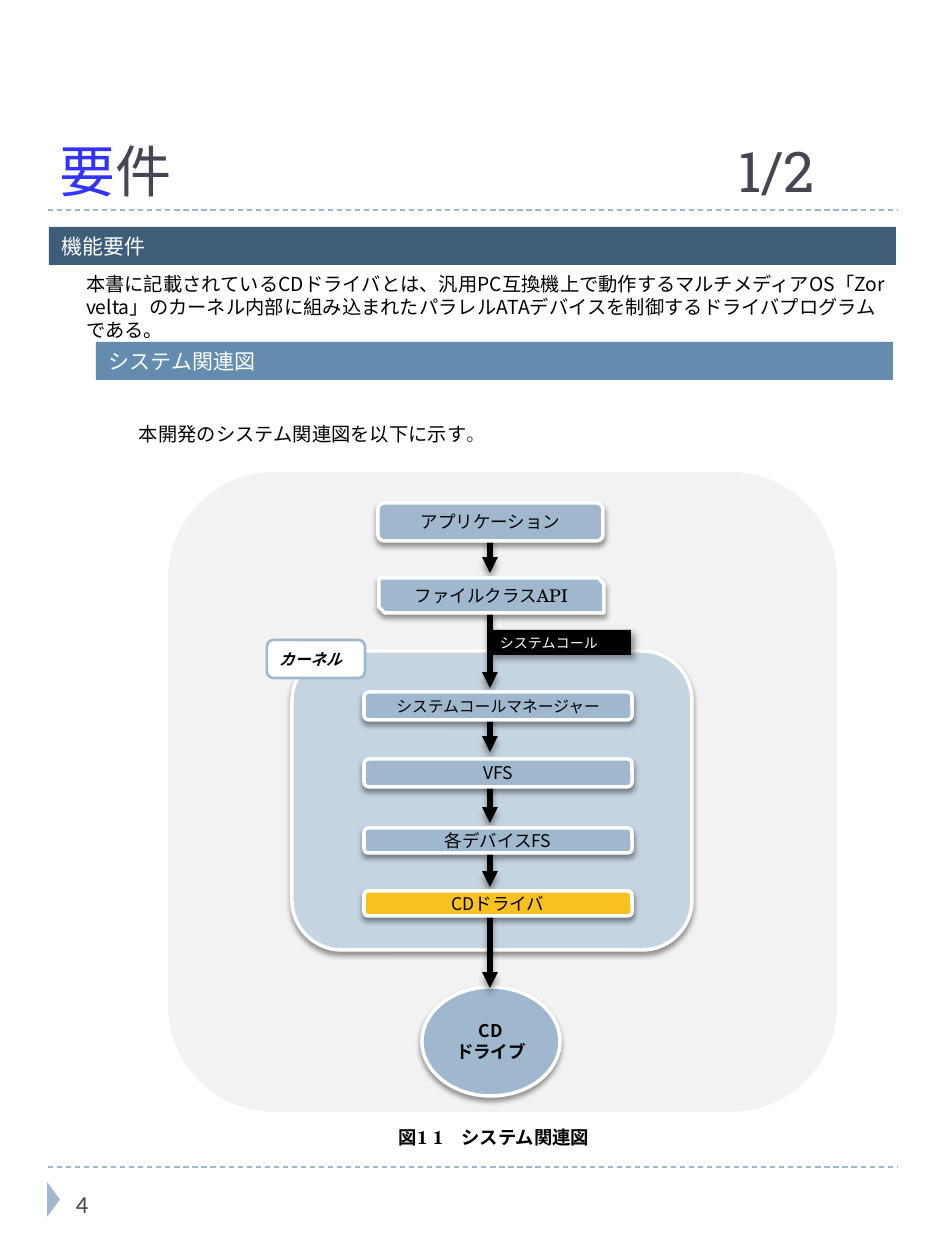
"""Build the requirements slide with its system relation diagram."""
import pptx
import pptx.dml.color
import pptx.enum.dml
import pptx.enum.shapes
import pptx.enum.text
import pptx.oxml
import pptx.oxml.ns
import pptx.util
from lxml import etree

SCALE = 914400 / 126
SANS, SLAB, SERIF = "Noto Sans CJK JP", "Roboto Slab", "TeX Gyre Schola"
BLACK, WHITE, GREY, STEEL, AMBER = "000000", "FFFFFF", "464653", "9FB8CD", "F7C120"
SHAPE = pptx.enum.shapes.MSO_SHAPE
ANCHOR = pptx.enum.text.MSO_ANCHOR
ALIGN = pptx.enum.text.PP_ALIGN
BOX_SHADOW, LINE_SHADOW, LABEL_SHADOW = (3, 2, 90), (4, 3.4, 90), (4, 3, 45)

TITLE = [("要", SLAB, 32, "3333FF"), ("件\t1/2", SLAB, 32, GREY)]
OVERVIEW = [("本書に記載されているCDドライバとは、汎用PC互換機上で動作するマルチメディアOS"
             "「Zor velta」のカーネル内部に組み込まれたパラレルATAデバイスを制御する"
             "ドライバプログラムである。", SANS, 11, BLACK)]
LEAD = [("本開発のシステム関連図を以下に示す", SANS, 11, BLACK), ("。", SANS, 11, GREY)]
CAPTION = [("図1 1　システム関連図", SERIF, 10.5, BLACK)]
PAGE_NUMBER = [("4", "Calibri", 14, GREY)]
RULES = [1167, 210]
HEADINGS = [("機能要件", (49, 227, 847, 38), "3E5D78"),
            ("システム関連図", (96, 342, 797, 38), "638CAE")]
ARROWS = [(535, 573), (609, 688), (713, 752), (779, 823), (851, 887), (896, 988)]
ARROW_X = 490
LAYERS = [
    (SHAPE.ROUNDED_RECTANGLE, (378, 503, 225, 38), STEEL, [("アプリケーション", SANS, 10, BLACK)]),
    (SHAPE.SNIP_2_DIAG_RECTANGLE, (379, 578, 225, 35), STEEL,
     [("ファイルクラス", SANS, 10, BLACK), ("API", SERIF, 10, BLACK)]),
    (SHAPE.ROUNDED_RECTANGLE, (364, 692, 268, 28), STEEL,
     [("システムコールマネージャー", SANS, 9, BLACK)]),
    (SHAPE.ROUNDED_RECTANGLE, (364, 759, 268, 28), STEEL, [("VFS", SANS, 10, BLACK)]),
    (SHAPE.ROUNDED_RECTANGLE, (364, 828, 268, 25), STEEL, [("各デバイスFS", SANS, 10, BLACK)]),
    (SHAPE.ROUNDED_RECTANGLE, (364, 891, 268, 25), AMBER, [("CDドライバ", SANS, 10, BLACK)]),
]


def px(length):
    return pptx.util.Emu(round(length * SCALE))


def color(value):
    return pptx.dml.color.RGBColor.from_string(value)


def set_shadow(shape, shadow=None):
    effects = etree.SubElement(shape._element.spPr, pptx.oxml.ns.qn("a:effectLst"))
    if shadow:
        blur, distance, angle = shadow
        outer = etree.SubElement(effects, pptx.oxml.ns.qn("a:outerShdw"),
                                 blurRad=str(pptx.util.Pt(blur)), dist=str(pptx.util.Pt(distance)),
                                 dir=str(angle * 60000), rotWithShape="0")
        black = etree.SubElement(outer, pptx.oxml.ns.qn("a:srgbClr"), val=BLACK)
        etree.SubElement(black, pptx.oxml.ns.qn("a:alpha"), val="40000")


def write(paragraph, runs, align=ALIGN.LEFT, bold=False, italic=False, indent=(0, 0)):
    paragraph.alignment = align
    properties = paragraph._p.get_or_add_pPr()
    properties.set("marL", str(px(indent[0])))
    properties.set("indent", str(px(indent[1])))
    for text, name, size, shade in runs:
        run = paragraph.add_run()
        run.text = text
        run.font.name = name
        run.font.size = pptx.util.Pt(size)
        run.font.bold = bold
        run.font.italic = italic
        run.font.color.rgb = color(shade)
        east_asian = etree.SubElement(run._r.get_or_add_rPr(), pptx.oxml.ns.qn("a:ea"))
        east_asian.set("typeface", SANS)


def set_frame(frame, anchor=ANCHOR.MIDDLE, side=10, edge=1):
    frame.word_wrap = True
    frame.auto_size = pptx.enum.text.MSO_AUTO_SIZE.NONE
    frame.vertical_anchor = anchor
    frame.margin_left = frame.margin_right = px(side)
    frame.margin_top = frame.margin_bottom = px(edge)


def add_shape(shapes, kind, box, fill, line=None, width=2, shadow=None):
    shape = shapes.add_shape(kind, *map(px, box))
    shape.fill.solid()
    shape.fill.fore_color.rgb = color(fill)
    if line:
        shape.line.color.rgb = color(line)
        shape.line.width = pptx.util.Pt(width)
    else:
        shape.line.fill.background()
    set_shadow(shape, shadow)
    set_frame(shape.text_frame)
    return shape


def add_line(shapes, start, end, shade, width, shadow=None):
    line = shapes.add_connector(pptx.enum.shapes.MSO_CONNECTOR.STRAIGHT, *map(px, start + end))
    line.line.color.rgb = color(shade)
    line.line.width = pptx.util.Pt(width)
    set_shadow(line, shadow)
    return line


def add_diagram(slide):
    shapes = slide.shapes.add_group_shape().shapes
    add_shape(shapes, SHAPE.ROUNDED_RECTANGLE, (168, 472, 669, 640), "F2F2F2")
    add_shape(shapes, SHAPE.ROUNDED_RECTANGLE, (292, 651, 400, 299), "C5D4E1", WHITE,
              shadow=BOX_SHADOW)
    kernel = add_shape(shapes, SHAPE.ROUNDED_RECTANGLE, (267, 640, 98, 38), WHITE, STEEL, 1.5)
    write(kernel.text_frame.paragraphs[0], [("カーネル", SANS, 9, BLACK)], bold=True, italic=True)
    drive = add_shape(shapes, SHAPE.OVAL, (422, 987, 138, 109), STEEL, WHITE, shadow=BOX_SHADOW)
    lines = [drive.text_frame.paragraphs[0], drive.text_frame.add_paragraph()]
    for paragraph, text in zip(lines, ["CD", "ドライブ"]):
        write(paragraph, [(text, SANS, 10, BLACK)], ALIGN.CENTER, bold=True)
    for top, bottom in ARROWS:
        arrow = add_line(shapes, (ARROW_X, top), (ARROW_X, bottom), BLACK, 3, LINE_SHADOW)
        etree.SubElement(arrow.line._get_or_add_ln(), pptx.oxml.ns.qn("a:tailEnd"),
                         type="triangle")
    for kind, box, fill, runs in LAYERS:
        layer = add_shape(shapes, kind, box, fill, WHITE, shadow=BOX_SHADOW)
        write(layer.text_frame.paragraphs[0], runs, ALIGN.CENTER)
    call = add_shape(shapes, SHAPE.RECTANGLE, (490, 630, 141, 25), BLACK, shadow=LABEL_SHADOW)
    write(call.text_frame.paragraphs[0], [("システムコール", SANS, 8, WHITE)])


def add_caption(slide):
    table = slide.shapes.add_table(1, 1, *map(px, (286, 1123, 416, 21))).table
    table.first_row = table.horz_banding = False
    cell = table.cell(0, 0)
    cell.fill.background()
    cell.margin_left = cell.margin_right = cell.margin_top = cell.margin_bottom = 0
    write(cell.text_frame.paragraphs[0], CAPTION, ALIGN.CENTER, bold=True)


def main():
    presentation = pptx.Presentation()
    presentation.slide_width, presentation.slide_height = px(945), px(1260)
    slide = presentation.slides.add_slide(presentation.slide_layouts[5])
    shapes = slide.shapes

    for y in RULES:
        rule = add_line(shapes, (48, y), (897, y), STEEL, 0.75)
        rule.line.dash_style = pptx.enum.dml.MSO_LINE.DASH
    marker = add_shape(shapes, SHAPE.ISOSCELES_TRIANGLE, (36, 1193, 35, 13), STEEL)
    marker.rotation = 90

    title = shapes.title
    title.left, title.top, title.width, title.height = map(px, (48, 49, 829, 161))
    set_frame(title.text_frame, ANCHOR.BOTTOM, 11, 6)
    write(title.text_frame.paragraphs[0], TITLE, indent=(679, -679))

    number = shapes.add_textbox(*map(px, (63, 1172, 204, 63)))
    set_frame(number.text_frame, side=13)
    write(number.text_frame.paragraphs[0], PAGE_NUMBER)

    body = shapes.add_textbox(*map(px, (49, 266, 851, 238)))
    set_frame(body.text_frame, ANCHOR.TOP, 13, 6)
    overview, lead = body.text_frame.paragraphs[0], body.text_frame.add_paragraph()
    write(overview, OVERVIEW, indent=(24, 0))
    write(lead, LEAD, indent=(77, 0))
    lead.space_before = pptx.util.Pt(46)

    add_diagram(slide)
    add_caption(slide)
    for text, box, fill in HEADINGS:
        heading = add_shape(shapes, SHAPE.RECTANGLE, box, fill)
        set_frame(heading.text_frame, side=13)
        write(heading.text_frame.paragraphs[0], [(text, SANS, 12, WHITE)])
    presentation.save("out.pptx")


if __name__ == "__main__":
    main()
